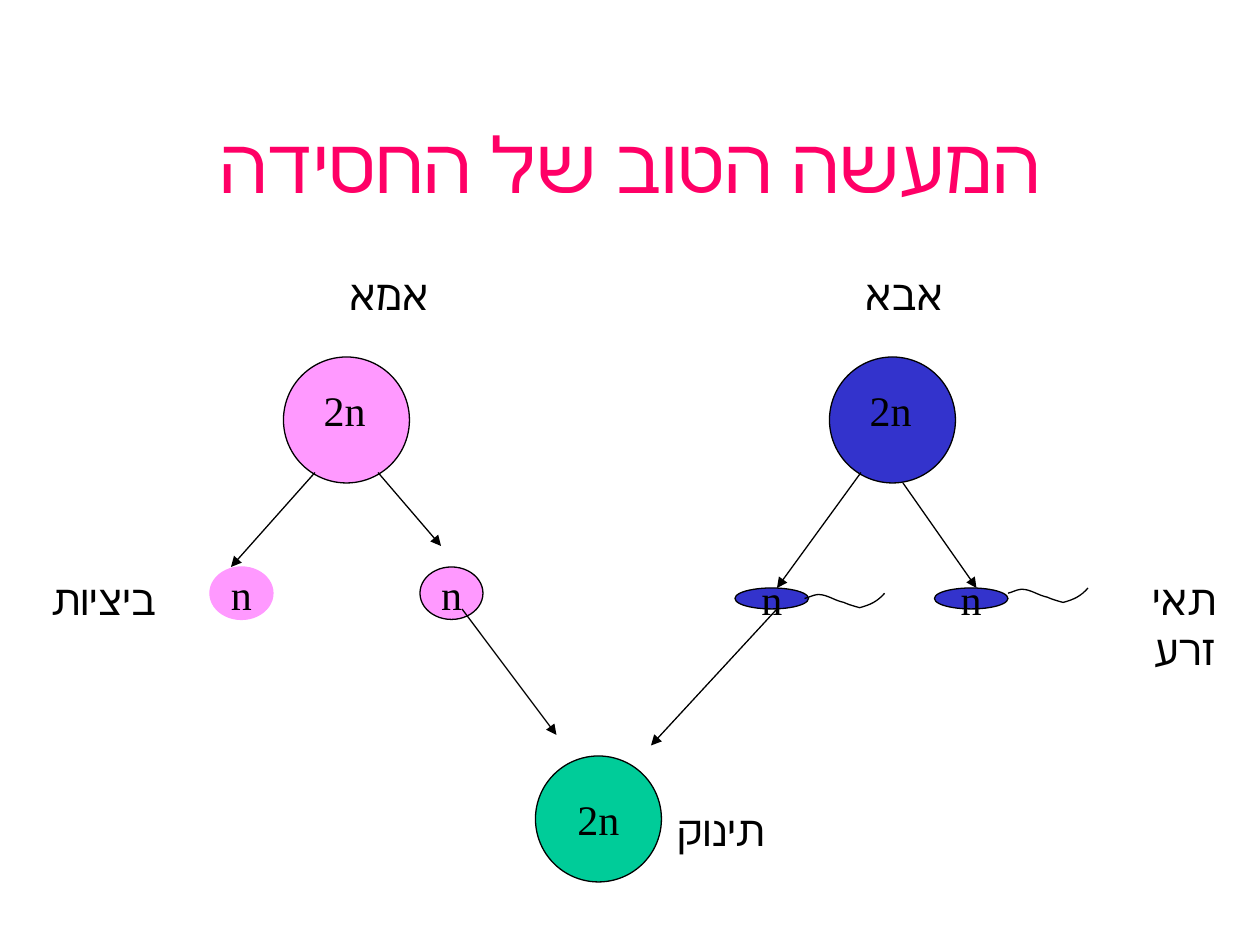
from lxml import etree
from pptx import Presentation
from pptx.dml.color import RGBColor
from pptx.enum.shapes import MSO_CONNECTOR, MSO_SHAPE
from pptx.enum.text import MSO_ANCHOR, MSO_AUTO_SIZE, PP_ALIGN
from pptx.oxml.ns import qn
from pptx.util import Emu, Pt

STRAIGHT = MSO_CONNECTOR.STRAIGHT
OVAL = MSO_SHAPE.OVAL
MIDDLE = MSO_ANCHOR.MIDDLE
CENTER, RIGHT = PP_ALIGN.CENTER, PP_ALIGN.RIGHT
NO_FIT, FIT_SHAPE = MSO_AUTO_SIZE.NONE, MSO_AUTO_SIZE.SHAPE_TO_FIT_TEXT

EMU_PER_PX = 9525  # 96 px to the inch
FONT = "Times New Roman"
BLACK, ROSE, PINK, BLUE, GREEN = "000000", "FF0066", "FF99FF", "3333CC", "00CC99"

# Sperm tail: offsets from its start, then three points per Bezier curve
TAIL_CURVES = [
    [(4, -1), (7, -3), (11, -3)],
    [(17, -3), (24, 2), (30, 3)],
    [(34, 5), (42, 7), (42, 7)],
    [(50, 5), (56, 2), (61, -4)],
]
CURVE_STEPS = 8


def px(value):
    return Emu(round(value * EMU_PER_PX))


def color(hex_string):
    return RGBColor.from_string(hex_string)


def style_line(line, line_color=BLACK):
    line.color.rgb = color(line_color)
    line.width = Pt(0.75)


def write(shape, text, align, size=24, text_color=BLACK, rtl=True):
    shape.text_frame.text = text
    paragraph = shape.text_frame.paragraphs[0]
    paragraph.alignment = align
    if rtl:
        paragraph._p.get_or_add_pPr().set("rtl", "1")
    font = paragraph.runs[0].font
    font.name = FONT
    font.size = Pt(size)
    font.color.rgb = color(text_color)


def add_title(slide, text):
    title = slide.shapes.title
    title.left, title.top, title.width, title.height = px(72), px(64), px(816), px(120)
    title.text_frame.vertical_anchor = MIDDLE
    title.text_frame.auto_size = NO_FIT
    write(title, text, CENTER, 44, ROSE, rtl=False)


def add_label(slide, text, left, top, width, height=48):
    box = slide.shapes.add_textbox(px(left), px(top), px(width), px(height))
    box.text_frame.word_wrap = True
    box.text_frame.auto_size = FIT_SHAPE
    write(box, text, RIGHT)


def add_cell(slide, left, top, width, height, fill, text="", line_color=BLACK):
    cell = slide.shapes.add_shape(OVAL, px(left), px(top), px(width), px(height))
    cell.shadow.inherit = False
    cell.fill.solid()
    cell.fill.fore_color.rgb = color(fill)
    style_line(cell.line, line_color)
    if text:
        cell.text_frame.word_wrap = False
        cell.text_frame.vertical_anchor = MIDDLE
        write(cell, text, CENTER)


def add_arrow(slide, x1, y1, x2, y2):
    arrow = slide.shapes.add_connector(STRAIGHT, px(x1), px(y1), px(x2), px(y2))
    style_line(arrow.line)
    etree.SubElement(arrow.line._get_or_add_ln(), qn("a:tailEnd"), type="triangle")
    etree.SubElement(arrow._element.spPr, qn("a:effectLst"))


def bezier(points, t):
    weights = ((1 - t) ** 3, 3 * t * (1 - t) ** 2, 3 * t * t * (1 - t), t ** 3)
    return tuple(sum(w * p[axis] for w, p in zip(weights, points)) for axis in (0, 1))


def add_tail(slide, left, top):
    start, points = (0, 0), []
    for curve in TAIL_CURVES:
        for step in range(1, CURVE_STEPS + 1):
            x, y = bezier([start, *curve], step / CURVE_STEPS)
            points.append((px(left + x), px(top + y)))
        start = curve[-1]
    builder = slide.shapes.build_freeform(px(left), px(top))
    builder.add_line_segments(points, close=False)
    tail = builder.convert_to_shape()
    tail.shadow.inherit = False
    tail.fill.background()
    style_line(tail.line)


def main():
    presentation = Presentation()
    presentation.slide_width, presentation.slide_height = px(960), px(720)
    slide = presentation.slides.add_slide(presentation.slide_layouts[5])
    add_title(slide, "המעשה הטוב של החסידה")

    # Parents
    for left, fill in ((632, BLUE), (216, PINK)):
        add_cell(slide, left, 272, 96, 96, fill)
        add_label(slide, "2n", left + 16, 288, 56)
    add_label(slide, "אבא", 624, 200, 104)
    add_label(slide, "אמא", 216, 200, 120)

    # Division into gametes
    for ends in ((240, 360, 176, 432), (288, 360, 336, 416),
                 (656, 360, 592, 448), (688, 368, 744, 448)):
        add_arrow(slide, *ends)

    # Egg cells and sperm cells
    for left, line_color in ((160, PINK), (320, BLACK)):
        add_cell(slide, left, 432, 48, 40, PINK, "n", line_color)
    for left in (560, 712):
        add_cell(slide, left, 448, 56, 16, BLUE, "n")
    add_label(slide, "ביציות", 0, 432, 128)
    add_label(slide, "תאי זרע", 824, 432, 112, 86)

    # Fertilisation and baby
    add_cell(slide, 408, 576, 96, 96, GREEN, "2n")
    add_arrow(slide, 352, 464, 424, 560)
    add_arrow(slide, 592, 464, 496, 568)
    add_label(slide, "תינוק", 480, 608, 112)

    # Sperm tails
    add_tail(slide, 613, 456)
    add_tail(slide, 768, 452)

    presentation.save("out.pptx")


if __name__ == "__main__":
    main()
